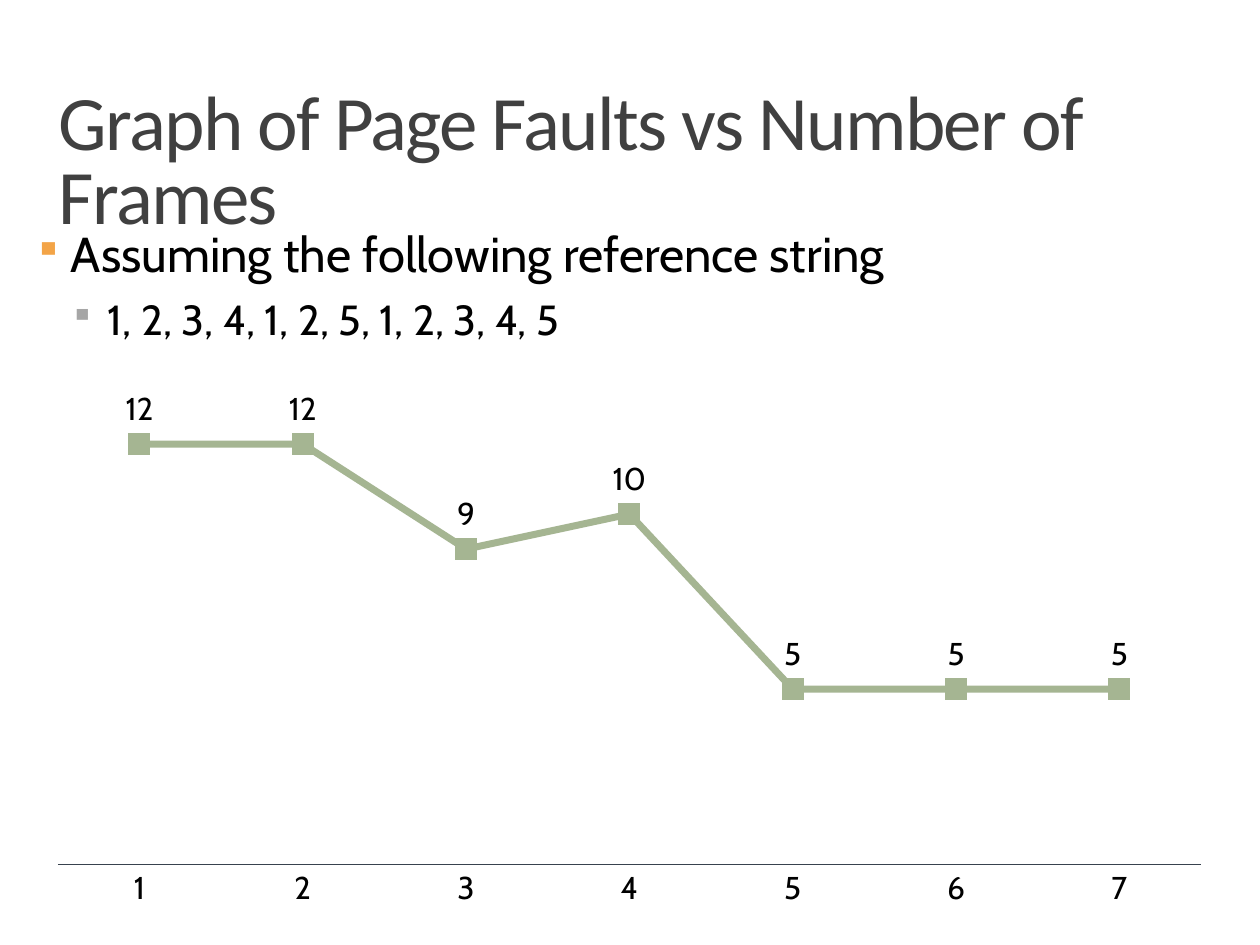
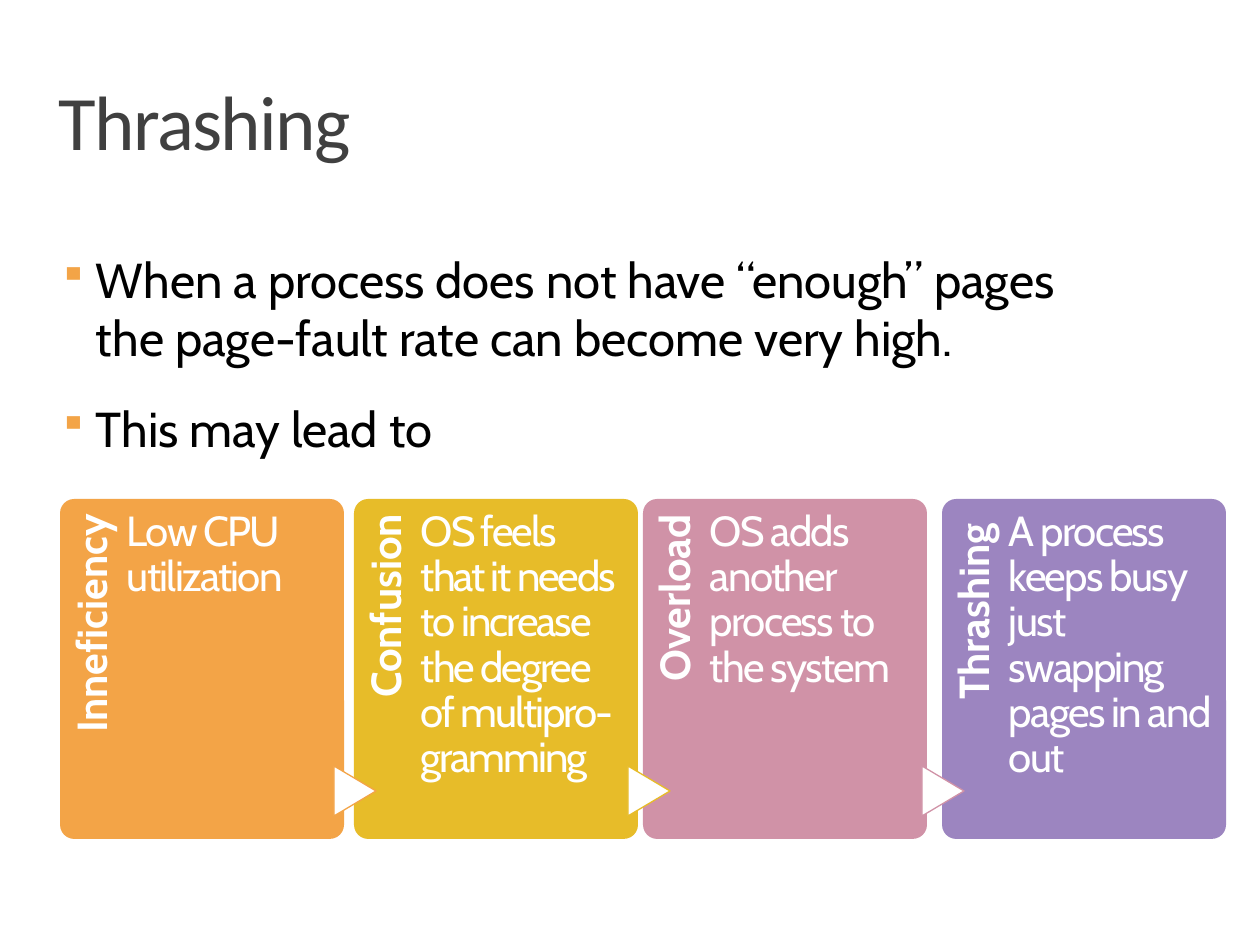
from lxml.etree import SubElement
from pptx import Presentation
from pptx.chart.data import CategoryChartData
from pptx.dml.color import RGBColor
from pptx.enum.chart import (XL_CHART_TYPE as ChartType, XL_LABEL_POSITION as LabelPosition,
                             XL_MARKER_STYLE as MarkerStyle, XL_TICK_MARK as TickMark)
from pptx.enum.shapes import MSO_SHAPE as Preset
from pptx.enum.text import MSO_ANCHOR as Anchor, MSO_AUTO_SIZE as AutoSize, PP_ALIGN as Align
from pptx.oxml.ns import qn
from pptx.util import Emu, Pt

PX_PER_INCH = 126
WHITE, BLACK, TITLE_GREY = "FFFFFF", "000000", "404040"
ORANGE, YELLOW, PINK, PURPLE = "F3A447", "E7BC29", "D092A7", "9C85C0"
LEVEL_GREY, SERIES_GREEN, AXIS_BLUE = "A6A6A6", "A5B592", "38424E"
TITLE_FONT, BODY_FONT = "Calibri", "Cabin"
TITLE_BOX = (59, 86, 1142, 164)

# Bullet styles by level: left margin and hanging indent in px, points for the rest
BULLETS = [
    {"margin": 37, "hang": 37, "before": 18, "size": 28, "color": ORANGE},
    {"margin": 74, "hang": 38, "before": 6, "size": 24, "color": LEVEL_GREY},
]

PAGE_FAULTS = {"1": 12, "2": 12, "3": 9, "4": 10, "5": 5, "6": 5, "7": 5}

# Heading, text, colour, letter spacing, sideways nudge
STAGES = [
    ("Inneficiency", "Low CPU utilization", ORANGE, -1, 0),
    ("Confusion", "OS feels that it needs to increase the degree of multipro-gramming",
     YELLOW, -1.2, 0),
    ("Overload", "OS adds another process to the system", PINK, -1, -5),
    ("Thrashing ", "A process keeps busy just swapping pages in and out", PURPLE, -1, 0),
]


def px(length):
    return Emu(round(length * 914400 / PX_PER_INCH))


def rgb(color):
    return RGBColor.from_string(color)


def assign(target, values):
    for name, value in values.items():
        setattr(target, name, value)


def place(shape, box):
    assign(shape, dict(zip(("left", "top", "width", "height"), map(px, box))))


def set_frame(frame, insets=(0, 0, 0, 0)):
    """Wrap the text, start it at the top and set left, top, right and bottom insets."""
    sides = ("margin_left", "margin_top", "margin_right", "margin_bottom")
    assign(frame, {"word_wrap": True, "auto_size": AutoSize.NONE,
                   "vertical_anchor": Anchor.TOP, **dict(zip(sides, map(px, insets)))})


def style_font(font, size, color, name=BODY_FONT, bold=False):
    assign(font, {"size": Pt(size), "name": name, "bold": bold})
    font.color.rgb = rgb(color)


def write(paragraph, text, size, color, name=BODY_FONT, bold=False, tracking=0, **layout):
    paragraph.text = text
    assign(paragraph, layout)
    for run in paragraph.runs:
        style_font(run.font, size, color, name, bold)
        if tracking:
            run.font._element.set("spc", str(round(tracking * 100)))


def add_text_box(slide, box, insets=(0, 0, 0, 0)):
    shape = slide.shapes.add_textbox(*map(px, box))
    set_frame(shape.text_frame, insets)
    return shape


def add_preset(slide, preset, box, fill, line=None):
    shape = slide.shapes.add_shape(preset, *map(px, box))
    shape.shadow.inherit = False
    shape.fill.solid()
    shape.fill.fore_color.rgb = rgb(fill)
    if line:
        shape.line.color.rgb = rgb(line)
        shape.line.width = Pt(0.75)
    else:
        shape.line.fill.background()
    return shape


def turned(box):
    """Frame that covers the given box after a quarter turn."""
    left, top, width, height = box
    shift = (width - height) / 2
    return left + shift, top - shift, height, width


def add_titled_slide(presentation, text):
    slide = presentation.slides.add_slide(presentation.slide_layouts[5])
    title = slide.shapes.title
    place(title, TITLE_BOX)
    set_frame(title.text_frame, (0, 5, 0, 0))
    write(title.text_frame.paragraphs[0], text, 44, TITLE_GREY, TITLE_FONT,
          tracking=-1, alignment=Align.LEFT, line_spacing=0.8)
    return slide


def add_bullet(paragraph, style):
    properties = paragraph._p.get_or_add_pPr()
    properties.set("marL", str(px(style["margin"])))
    properties.set("indent", str(-px(style["hang"])))
    color = SubElement(properties, qn("a:buClr"))
    SubElement(color, qn("a:srgbClr"), val=style["color"])
    SubElement(properties, qn("a:buSzPct"), val="80000")
    SubElement(properties, qn("a:buChar"), char="▪")


def add_bullet_list(slide, box, items):
    """Add (level, text) items as a bulleted list."""
    frame = add_text_box(slide, box).text_frame
    for index, (level, text) in enumerate(items):
        paragraph = frame.add_paragraph() if index else frame.paragraphs[0]
        style = BULLETS[level]
        write(paragraph, text, style["size"], BLACK,
              level=level, space_before=Pt(style["before"]))
        add_bullet(paragraph, style)


def set_plot_area(chart, **fractions):
    """Fix the inner plot area as fractions of the chart."""
    plot_area = chart._chartSpace.chart.plotArea
    layout = plot_area.find(qn("c:layout"))
    if layout is None:
        layout = SubElement(plot_area, qn("c:layout"))
        plot_area.insert(0, layout)
    manual = SubElement(layout, qn("c:manualLayout"))
    settings = {"layoutTarget": "inner", "xMode": "edge", "yMode": "edge", **fractions}
    for name, value in settings.items():
        SubElement(manual, qn(f"c:{name}"), val=str(value))


def add_fault_chart(slide, box):
    data = CategoryChartData()
    data.categories = list(PAGE_FAULTS)
    data.add_series("Series 1", list(PAGE_FAULTS.values()))
    chart = slide.shapes.add_chart(ChartType.LINE_MARKERS, *map(px, box), data).chart
    assign(chart, {"has_legend": False, "has_title": False})
    style_font(chart.font, 18, BLACK)
    set_plot_area(chart, x=0.02, y=0.02, w=0.96, h=0.88)

    assign(chart.value_axis, {"visible": False, "has_major_gridlines": False,
                              "minimum_scale": 0, "maximum_scale": 14})
    axis = chart.category_axis
    assign(axis, {"major_tick_mark": TickMark.NONE, "minor_tick_mark": TickMark.NONE})
    axis.format.line.color.rgb = rgb(AXIS_BLUE)
    axis.format.line.width = Pt(0.5)

    plot = chart.plots[0]
    plot.vary_by_categories = False
    series = plot.series[0]
    series.smooth = False
    series.format.line.color.rgb = rgb(SERIES_GREEN)
    series.format.line.width = Pt(4)
    assign(series.marker, {"style": MarkerStyle.SQUARE, "size": 12})
    series.marker.format.fill.solid()
    series.marker.format.fill.fore_color.rgb = rgb(SERIES_GREEN)
    series.marker.format.line.fill.background()
    labels = series.data_labels
    assign(labels, {"show_value": True, "position": LabelPosition.ABOVE})
    style_font(labels.font, 18, BLACK)


def add_stage_card(slide, box, heading, text, color, tracking):
    left, top, width, height = box
    card = add_preset(slide, Preset.ROUNDED_RECTANGLE, box, color)
    card.adjustments[0] = 0.05
    label = add_text_box(slide, turned((left, top, 57, 280)), (0, 11, 15, 0))
    label.rotation = 270
    write(label.text_frame.paragraphs[0], heading, 24, WHITE, bold=True,
          alignment=Align.RIGHT, line_spacing=0.9)
    body = add_text_box(slide, (left + 57, top, 212, height), (10, 11, 0, 0))
    write(body.text_frame.paragraphs[0], text, 24, WHITE, tracking=tracking,
          line_spacing=0.9)


def add_stage_row(slide, box):
    left, top, width, height = box
    card_width, gap = 284, 10
    pitch = card_width + gap
    previous_color = None
    for index, (heading, text, color, tracking, nudge) in enumerate(STAGES):
        slot = left + index * pitch
        add_stage_card(slide, (slot + nudge, top, card_width, height),
                       heading, text, color, tracking)
        if previous_color:
            arrow = add_preset(slide, Preset.FLOWCHART_EXTRACT,
                               turned((slot - 20, top + 267, 42, 50)), WHITE, previous_color)
            arrow.rotation = 90
        previous_color = color


def build_fault_slide(presentation):
    slide = add_titled_slide(presentation, "Graph of Page Faults vs Number of Frames")
    add_bullet_list(slide, (34, 224, 1191, 137), [
        (0, "Assuming the following reference string"),
        (1, "1, 2, 3, 4, 1, 2, 5, 1, 2, 3, 4, 5"),
    ])
    add_fault_chart(slide, (34, 363, 1191, 557))


def build_thrashing_slide(presentation):
    slide = add_titled_slide(presentation, "Thrashing")
    add_bullet_list(slide, (59, 249, 1142, 297), [
        (0, "When a process does not have “enough” pages\vthe page-fault rate can become very high."),
        (0, "This may lead to"),
    ])
    add_stage_row(slide, (60, 499, 1166, 340))


def main():
    presentation = Presentation()
    presentation.slide_width, presentation.slide_height = px(1260), px(945)
    build_fault_slide(presentation)
    build_thrashing_slide(presentation)
    presentation.save("out.pptx")


if __name__ == "__main__":
    main()
